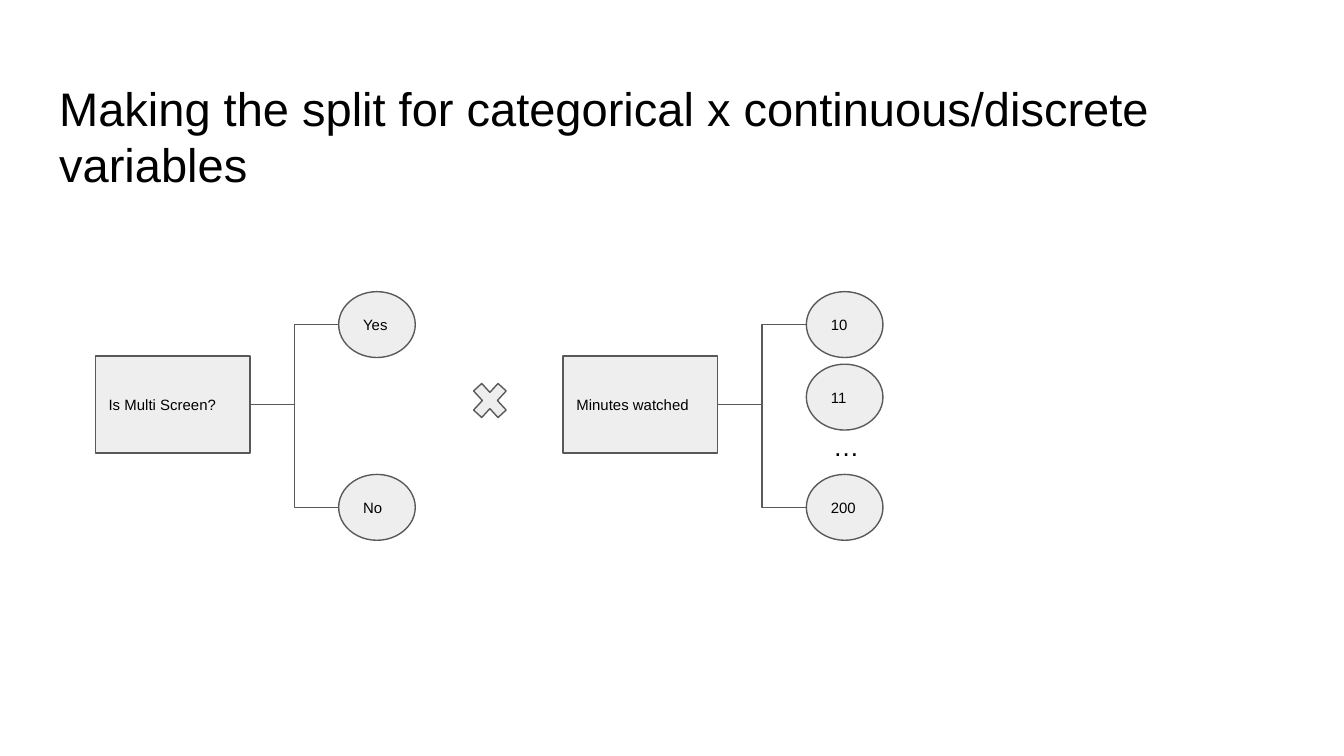
from dataclasses import dataclass

from lxml.etree import SubElement
from pptx import Presentation
from pptx.dml.color import RGBColor
from pptx.enum.shapes import MSO_CONNECTOR, MSO_SHAPE
from pptx.enum.text import MSO_ANCHOR, MSO_AUTO_SIZE, PP_ALIGN
from pptx.oxml.ns import qn
from pptx.util import Inches, Pt


@dataclass(frozen=True)
class Theme:
    font: str = "Arial"
    ink: RGBColor = RGBColor(0x00, 0x00, 0x00)
    fill: RGBColor = RGBColor(0xEE, 0xEE, 0xEE)
    line: RGBColor = RGBColor(0x59, 0x59, 0x59)
    line_width: float = 0.75
    title_size: float = 25.2
    label_size: float = 8
    dots_size: float = 14


@dataclass(frozen=True)
class Branch:
    label: str
    top: float
    joined: bool = True


@dataclass(frozen=True)
class Split:
    variable: str
    left: float
    branches: tuple[Branch, ...]


THEME = Theme()
INSET = 0.1
VARIABLE_TOP, VARIABLE_WIDTH, VARIABLE_HEIGHT = 2.65, 1.15, 0.72
BRANCH_OFFSET, BRANCH_WIDTH, BRANCH_HEIGHT = 1.81, 0.57, 0.49
FIRST_TOP, SECOND_TOP, LAST_TOP = 2.17, 2.71, 3.53

SPLITS = (
    Split("Is Multi Screen?", 0.71,
          (Branch("Yes", FIRST_TOP), Branch("No", LAST_TOP))),
    Split("Minutes watched", 4.19,
          (Branch("10", FIRST_TOP), Branch("11", SECOND_TOP, joined=False),
           Branch("200", LAST_TOP))),
)


def write(shape, text: str, size: float, anchor=MSO_ANCHOR.TOP) -> None:
    """Put one left-aligned paragraph into a shape."""
    frame = shape.text_frame
    frame_format = {
        "word_wrap": True,
        "auto_size": MSO_AUTO_SIZE.NONE,
        "vertical_anchor": anchor,
        **{f"margin_{side}": Inches(INSET)
           for side in ("left", "top", "right", "bottom")},
    }
    for name, value in frame_format.items():
        setattr(frame, name, value)
    para = frame.paragraphs[0]
    para.alignment = PP_ALIGN.LEFT
    span = para.add_run()
    span.text = text
    for name, value in {"name": THEME.font, "size": Pt(size)}.items():
        setattr(span.font, name, value)
    span.font.color.rgb = THEME.ink


def outline(line) -> None:
    line.color.rgb = THEME.line
    line.width = Pt(THEME.line_width)


def add_node(page, kind: MSO_SHAPE, left: float, top: float,
             width: float, height: float, text: str = ""):
    node = page.shapes.add_shape(
        kind, Inches(left), Inches(top), Inches(width), Inches(height))
    node.shadow.inherit = False
    node.fill.solid()
    node.fill.fore_color.rgb = THEME.fill
    outline(node.line)
    if text:
        write(node, text, THEME.label_size, MSO_ANCHOR.MIDDLE)
    return node


def add_elbow(page, start: tuple[float, float], end: tuple[float, float]) -> None:
    elbow = page.shapes.add_connector(
        MSO_CONNECTOR.ELBOW, *map(Inches, start + end))
    outline(elbow.line)
    SubElement(elbow._element.spPr, qn("a:effectLst"))


def add_split(page, split: Split) -> None:
    add_node(page, MSO_SHAPE.RECTANGLE, split.left, VARIABLE_TOP,
             VARIABLE_WIDTH, VARIABLE_HEIGHT, split.variable)
    start = (split.left + VARIABLE_WIDTH, VARIABLE_TOP + VARIABLE_HEIGHT / 2)
    branch_left = split.left + BRANCH_OFFSET
    for branch in split.branches:
        add_node(page, MSO_SHAPE.OVAL, branch_left, branch.top,
                 BRANCH_WIDTH, BRANCH_HEIGHT, branch.label)
        if branch.joined:
            add_elbow(page, start, (branch_left, branch.top + BRANCH_HEIGHT / 2))


def main() -> None:
    # Widescreen page, 16 by 9
    deck = Presentation()
    deck.slide_width = Inches(10)
    deck.slide_height = Inches(10 * 9 / 16)
    page = deck.slides.add_slide(deck.slide_layouts[5])

    # Title
    title = page.shapes.title
    title_place = {"left": 0.34, "top": 0.49, "width": 9.32, "height": 0.63}
    for name, value in title_place.items():
        setattr(title, name, Inches(value))
    write(title, "Making the split for categorical x continuous/discrete variables",
          THEME.title_size)
    title.text_frame.paragraphs[0].line_spacing = 1.0

    # Variables with their branches
    for split in SPLITS:
        add_split(page, split)

    # Omitted values between the last two branches
    dots = page.shapes.add_textbox(
        Inches(6.1), Inches(3.1), Inches(0.35), Inches(0.44))
    write(dots, "…", THEME.dots_size)
    dots.text_frame.auto_size = MSO_AUTO_SIZE.SHAPE_TO_FIT_TEXT

    # Multiplication sign between the variables
    times = add_node(page, MSO_SHAPE.MATH_MULTIPLY, 3.47, 2.79, 0.35, 0.38)
    times.adjustments[0] = 0.235

    deck.save("out.pptx")


if __name__ == "__main__":
    main()
